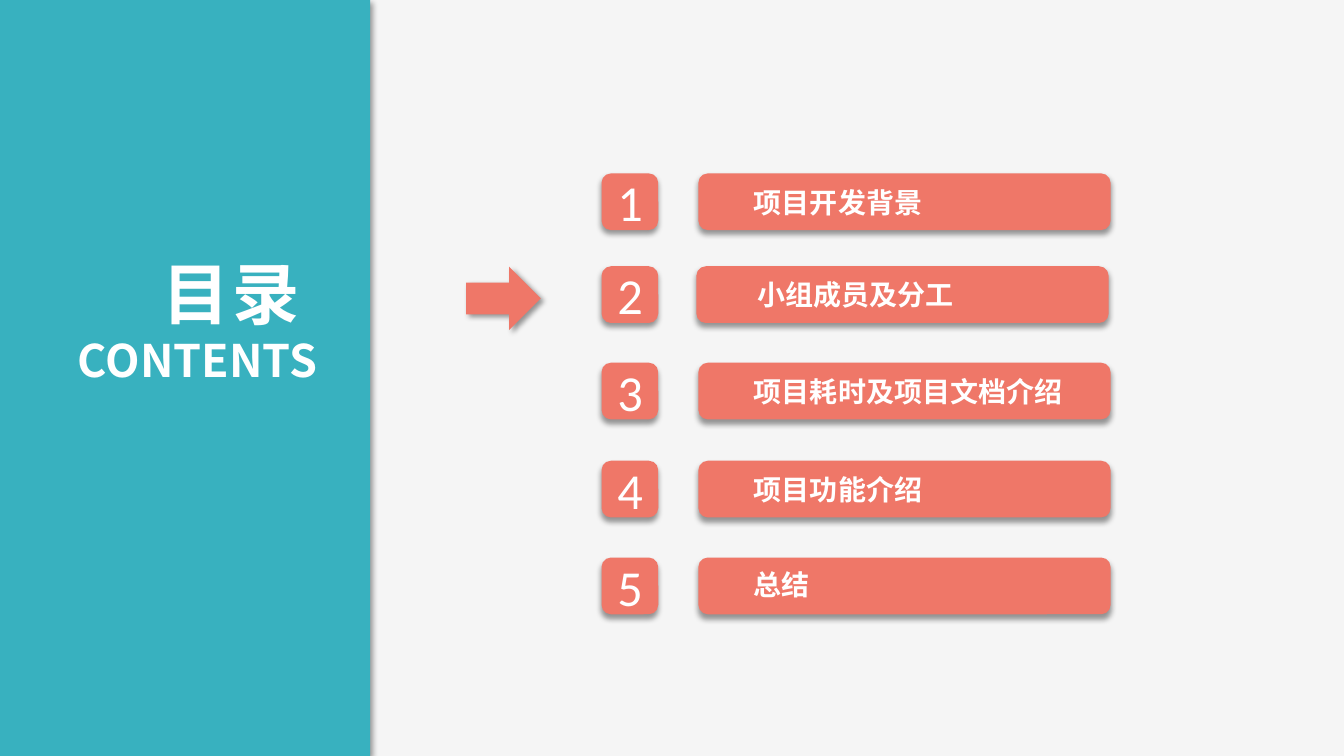
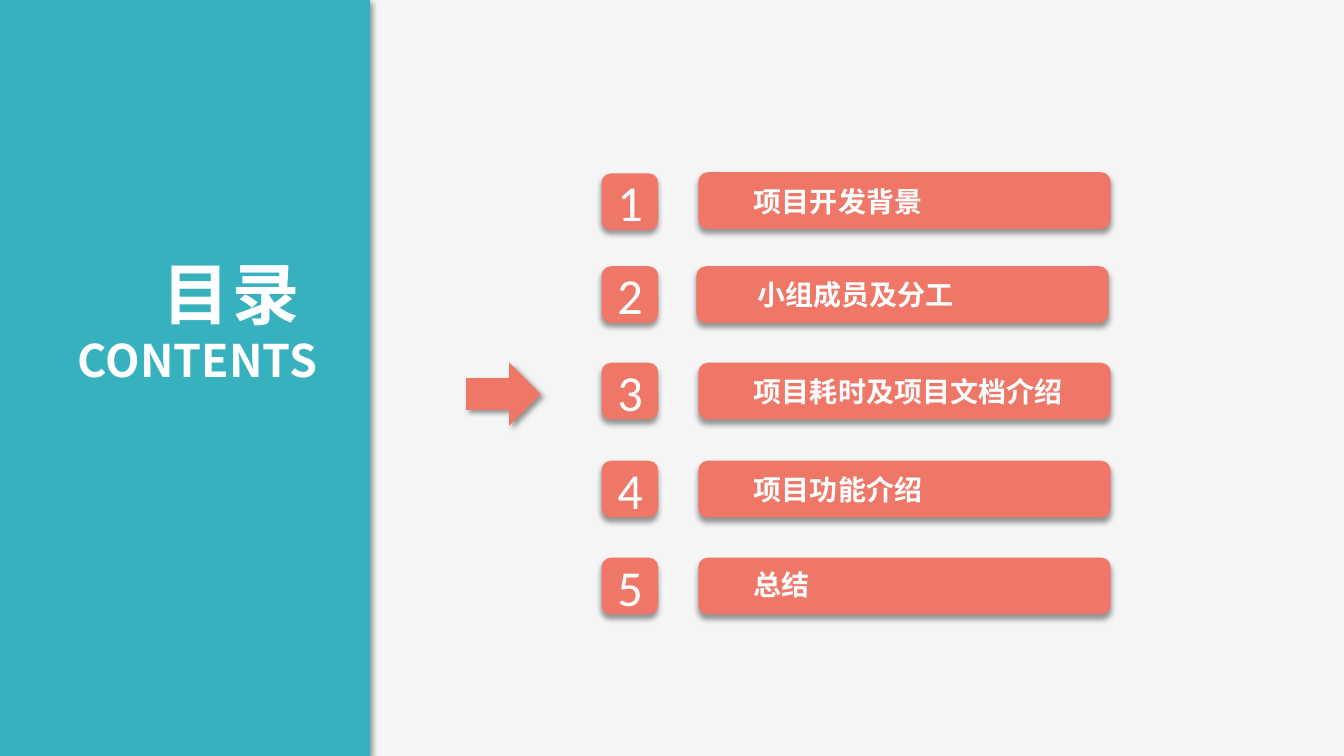
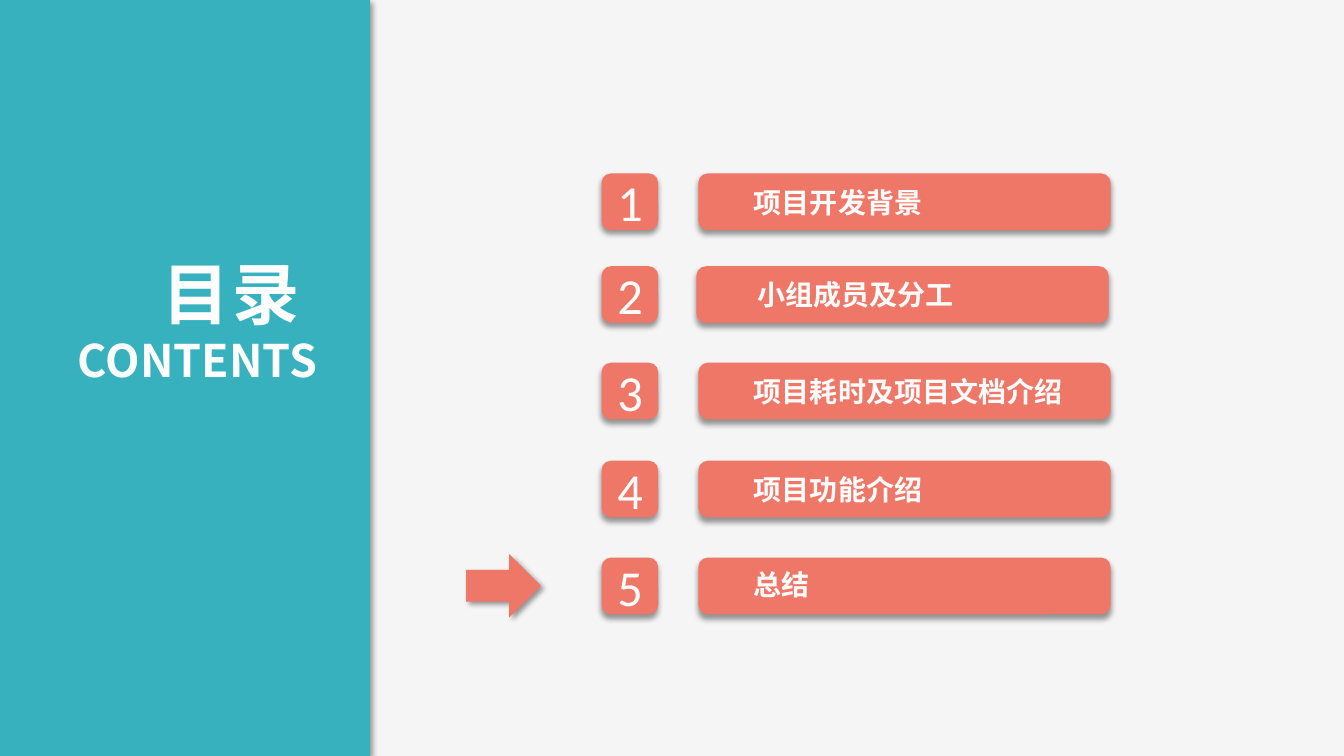
from dataclasses import dataclass

from lxml.etree import SubElement
from pptx import Presentation
from pptx.dml.color import RGBColor
from pptx.enum.shapes import MSO_SHAPE
from pptx.enum.text import MSO_ANCHOR, MSO_AUTO_SIZE, PP_ALIGN
from pptx.oxml.ns import qn
from pptx.util import Cm, Pt


@dataclass(frozen=True)
class Theme:
    """Colours, fonts and type sizes of the deck."""

    paper: RGBColor = RGBColor(0xF5, 0xF5, 0xF5)
    teal: RGBColor = RGBColor(0x38, 0xB1, 0xBF)
    coral: RGBColor = RGBColor(0xEF, 0x77, 0x68)
    white: RGBColor = RGBColor(0xFF, 0xFF, 0xFF)
    shadow: str = "000000"
    chinese_font: str = "Noto Sans CJK SC"
    number_font: str = "Calibri"
    title_size: int = 48
    subtitle_size: int = 32
    number_size: int = 36
    label_size: int = 20


@dataclass(frozen=True)
class Chapter:
    """One row of the contents list, in centimetres."""

    label: str
    top: float
    label_width: float
    label_drop: float = 0.12
    bar_left: float = 17.6
    label_left: float = 18.67


@dataclass(frozen=True)
class ContentsPage:
    """What differs between the contents pages, in centimetres."""

    arrow_top: float
    first_bar_shift: float = 0


THEME = Theme()
SLIDE_WIDTH, SLIDE_HEIGHT = 33.87, 19.05
TILE_LEFT, TILE_SIZE, BAR_WIDTH, LABEL_HEIGHT = 15.16, 1.43, 10.39, 1.19
CHAPTERS = (
    Chapter("项目开发背景", 4.37, 7.37),
    Chapter("小组成员及分工", 6.71, 7.37, label_drop=0.1, bar_left=17.55, label_left=18.75),
    Chapter("项目耗时及项目文档介绍", 9.14, 8.97),
    Chapter("项目功能介绍", 11.61, 7.6),
    Chapter("总结", 14.05, 7.6, label_drop=0.08),
)
PAGES = (
    ContentsPage(arrow_top=6.58),
    ContentsPage(arrow_top=8.99, first_bar_shift=-0.03),
    ContentsPage(arrow_top=13.82),
)


def add_shadow(box, angle: int) -> None:
    """Give a shape a soft outer shadow at an angle in degrees."""
    box.shadow.inherit = False
    effects = box.element.spPr.find(qn("a:effectLst"))
    outer = SubElement(effects, qn("a:outerShdw"), blurRad=str(Pt(4)), dist=str(Pt(3)),
                       dir=str(angle * 60000), algn="t" if angle == 90 else "tl",
                       rotWithShape="0")
    colour = SubElement(outer, qn("a:srgbClr"), val=THEME.shadow)
    SubElement(colour, qn("a:alpha"), val="40000")


def add_block(shapes, kind, left: float, top: float, width: float, height: float,
              fill: RGBColor = THEME.coral, angle: int = 90):
    """Draw a filled, shadowed shape without outline."""
    box = shapes.add_shape(kind, Cm(left), Cm(top), Cm(width), Cm(height))
    box.fill.solid()
    box.fill.fore_color.rgb = fill
    box.line.fill.background()
    add_shadow(box, angle)
    return box


def set_frame(frame, anchor=MSO_ANCHOR.TOP, auto_size=MSO_AUTO_SIZE.SHAPE_TO_FIT_TEXT) -> None:
    """Set the margins, wrapping and anchor of a text frame."""
    frame.margin_left = frame.margin_right = Cm(0.33)
    frame.margin_top = frame.margin_bottom = Cm(0.18)
    frame.word_wrap = True
    frame.vertical_anchor = anchor
    frame.auto_size = auto_size


def write(para, text: str, *, size: int, font: str = THEME.chinese_font, bold: bool = True,
          align=PP_ALIGN.LEFT, spacing: int = 0) -> None:
    """Add formatted white text to a paragraph."""
    para.alignment = align
    span = para.add_run()
    span.text = text
    span.font.name = font
    span.font.size = Pt(size)
    span.font.bold = bold
    span.font.color.rgb = THEME.white
    properties = span._r.get_or_add_rPr()
    properties.set("spc", str(spacing * 100))
    SubElement(properties, qn("a:ea"), typeface=font)


def add_chapter(page, number: int, chapter: Chapter, bar_shift: float) -> None:
    """Draw a number tile and the grouped bar and label beside it."""
    tile = add_block(page.shapes, MSO_SHAPE.ROUNDED_RECTANGLE,
                     TILE_LEFT, chapter.top, TILE_SIZE, TILE_SIZE)
    set_frame(tile.text_frame, MSO_ANCHOR.MIDDLE, MSO_AUTO_SIZE.NONE)
    write(tile.text_frame.paragraphs[0], str(number), size=THEME.number_size,
          font=THEME.number_font, bold=False, align=PP_ALIGN.CENTER)

    group = page.shapes.add_group_shape()
    bar_top = chapter.top + bar_shift
    add_block(group.shapes, MSO_SHAPE.ROUNDED_RECTANGLE,
              chapter.bar_left, bar_top, BAR_WIDTH, TILE_SIZE)
    label = group.shapes.add_textbox(Cm(chapter.label_left), Cm(bar_top + chapter.label_drop),
                                     Cm(chapter.label_width), Cm(LABEL_HEIGHT))
    set_frame(label.text_frame)
    write(label.text_frame.paragraphs[0], chapter.label, size=THEME.label_size)


def add_title_panel(page) -> None:
    """Draw the side panel and set the title on top of it."""
    add_block(page.shapes, MSO_SHAPE.RECTANGLE, -0.3, 0, 9.63, SLIDE_HEIGHT,
              fill=THEME.teal, angle=45)
    title = page.shapes.title
    title.left, title.top, title.width, title.height = Cm(0.53), Cm(6.17), Cm(7.8), Cm(3.76)
    title.element.getparent().append(title.element)
    frame = title.text_frame
    set_frame(frame)
    write(frame.paragraphs[0], "目录 ", size=THEME.title_size, align=PP_ALIGN.RIGHT, spacing=2)
    write(frame.add_paragraph(), "CONTENTS", size=THEME.subtitle_size, align=PP_ALIGN.RIGHT)


def add_contents_page(deck, contents: ContentsPage) -> None:
    """Add a contents page whose arrow points at the current chapter."""
    page = deck.slides.add_slide(deck.slide_layouts.get_by_name("Title Only"))
    for number, chapter in enumerate(CHAPTERS, start=1):
        add_chapter(page, number, chapter, contents.first_bar_shift if number == 1 else 0)
    add_title_panel(page)
    arrow = add_block(page.shapes, MSO_SHAPE.DOWN_ARROW, 11.89, contents.arrow_top, 1.6, 1.88,
                      angle=45)
    arrow.rotation = 270


def main() -> None:
    """Build and save the deck."""
    deck = Presentation()
    deck.slide_width, deck.slide_height = Cm(SLIDE_WIDTH), Cm(SLIDE_HEIGHT)
    backdrop = deck.slide_master.background.fill
    backdrop.solid()
    backdrop.fore_color.rgb = THEME.paper
    for contents in PAGES:
        add_contents_page(deck, contents)
    deck.save("out.pptx")


if __name__ == "__main__":
    main()
